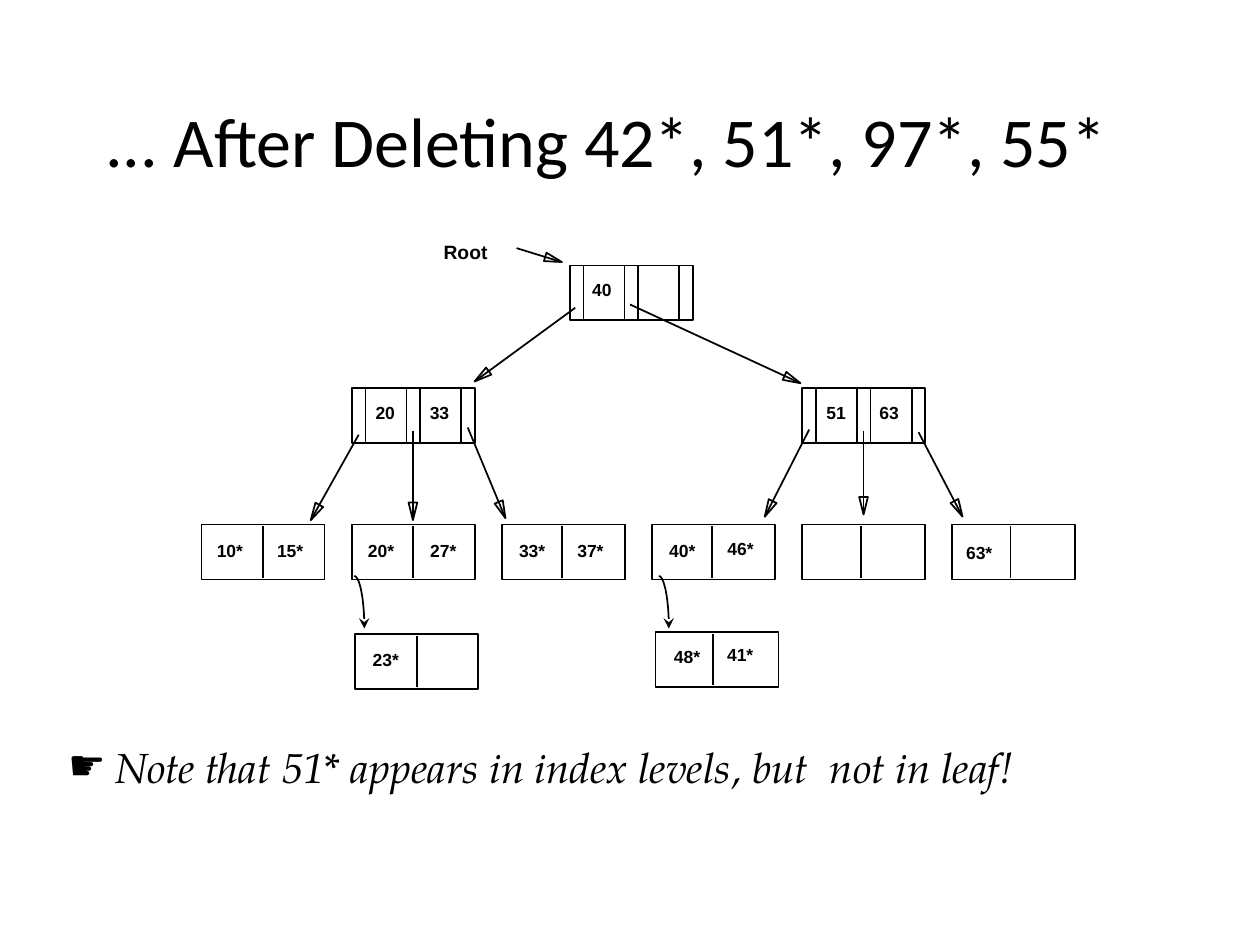
import math

from lxml import etree
from pptx import Presentation
from pptx.dml.color import RGBColor
from pptx.enum.shapes import MSO_CONNECTOR, MSO_SHAPE
from pptx.enum.text import MSO_ANCHOR, PP_ALIGN
from pptx.oxml.ns import qn
from pptx.util import Pt

STRAIGHT = MSO_CONNECTOR.STRAIGHT
RECTANGLE = MSO_SHAPE.RECTANGLE
TOP, MIDDLE = MSO_ANCHOR.TOP, MSO_ANCHOR.MIDDLE
LEFT, CENTER = PP_ALIGN.LEFT, PP_ALIGN.CENTER

COLORS = {"ink": "000000"}
INK = RGBColor.from_string(COLORS["ink"])
NODE_WIDTH, NODE_HEIGHT = 70.3, 31.4
LEAF_LEFT, LEAF_PITCH, LEAF_TOP = 115.2, 85.8, 299.8
LEAF_DIVIDER_LEFT, LEAF_DIVIDER_PITCH = 150.5, 85.4
INDEX_DIVIDERS = (7.8, 31.3, 39.1, 62.6)

# Each key is (text, offset from node left, offset from node top).
LEAVES = [
    [("10*", 1.6, 5.5), ("15*", 36, 5.5)],
    [("20*", 2.2, 5.5), ("27*", 37.7, 5.5)],
    [("33*", 2.7, 5.5), ("37*", 36, 5.5)],
    [("40*", 2.7, 5.5), ("46*", 36, 4)],
    [],
    [("63*", 0.8, 6.2)],
]
INDEX_NODES = [
    (325.6, 151.7, [("40", 5.7, 4.2)]),
    (201, 221.9, [("20", 6.5, 4.2), ("33", 37.5, 4.2)]),
    (458.4, 221.9, [("51", 6.7, 4.2), ("63", 37, 4.2)]),
]
OVERFLOW_LEAVES = [
    (202.8, 362.3, 35.3, [("23*", 3.1, 4.9)]),
    (374.6, 361.2, 33, [("48*", 3.4, 4.6), ("41*", 33.8, 3.3)]),
]
POINTERS = [
    (295.2, 141.8, 321.1, 149.8),
    (328.7, 175.9, 271.2, 218),
    (360, 174, 457.4, 219),
    (205, 248.4, 177.6, 297.2),
    (236, 246.3, 236, 297.2),
    (267.3, 244.3, 288.8, 296.1),
    (462.4, 245.5, 437, 295.3),
    (493.5, 246.1, 493.5, 294),
    (524.9, 247, 550, 295.2),
]
OVERFLOW_LINKS = [(202.4, 329.2), (376.4, 329.2)]


def add_text(slide, text, left, top, width, height, size=10, font="Arial",
             bold=False, italic=False, align=LEFT, anchor=TOP, wrap=False, bullet=None):
    frame = slide.shapes.add_textbox(Pt(left), Pt(top), Pt(width), Pt(height)).text_frame
    frame.word_wrap = wrap
    frame.vertical_anchor = anchor
    paragraph = frame.paragraphs[0]
    paragraph.alignment = align
    if bullet:
        properties = paragraph._p.get_or_add_pPr()
        properties.set("marL", str(Pt(27)))
        properties.set("indent", str(-Pt(27)))
        etree.SubElement(properties, qn("a:buFont")).set("typeface", "Arial")
        etree.SubElement(properties, qn("a:buChar")).set("char", bullet)
    run = paragraph.add_run()
    run.text = text
    run.font.size, run.font.name = Pt(size), font
    run.font.bold, run.font.italic = bold, italic
    run.font.color.rgb = INK


def style_outline(shape):
    shape.shadow.inherit = False
    shape.fill.background()
    shape.line.color.rgb = INK
    shape.line.width = Pt(1)


def add_line(slide, x1, y1, x2, y2):
    line = slide.shapes.add_connector(STRAIGHT, Pt(x1), Pt(y1), Pt(x2), Pt(y2))
    line.line.color.rgb = INK
    line.line.width = Pt(1)
    etree.SubElement(line._element.spPr, qn("a:effectLst"))


def add_outline(slide, points, close):
    (x, y), *rest = [(Pt(px), Pt(py)) for px, py in points]
    builder = slide.shapes.build_freeform(x, y)
    builder.add_line_segments(rest, close=close)
    outline = builder.convert_to_shape()
    style_outline(outline)
    return outline


def add_node(slide, left, top, dividers, divider_inset, keys):
    """Draw a node's frame, its dividers (offsets from the left) and its keys."""
    frame = slide.shapes.add_shape(RECTANGLE, Pt(left), Pt(top), Pt(NODE_WIDTH), Pt(NODE_HEIGHT))
    style_outline(frame)
    for offset in dividers:
        add_line(slide, left + offset, top + divider_inset,
                 left + offset, top + NODE_HEIGHT - divider_inset)
    for key, dx, dy in keys:
        width = 29.8 if key.endswith("*") else 26
        add_text(slide, key, left + dx, top + dy, width, 18.7, bold=True)


def add_pointer(slide, x1, y1, x2, y2, head_length=10, head_half_width=2.5):
    """Draw a line that ends in a hollow triangle at (x2, y2)."""
    add_line(slide, x1, y1, x2, y2)
    length = math.hypot(x2 - x1, y2 - y1)
    ux, uy = (x2 - x1) / length, (y2 - y1) / length
    base_x, base_y = x2 - head_length * ux, y2 - head_length * uy
    wx, wy = -uy * head_half_width, ux * head_half_width
    add_outline(slide, [(base_x + wx, base_y + wy), (x2, y2), (base_x - wx, base_y - wy)], True)


def add_overflow_link(slide, left, top, width=5.8, height=30, steps=16):
    """Draw a quarter ellipse from a leaf down to its overflow leaf."""
    angles = [math.pi / 2 * step / steps for step in range(steps + 1)]
    curve = [(left + width * math.sin(a), top + height * (1 - math.cos(a))) for a in angles]
    link = add_outline(slide, curve, False)
    etree.SubElement(link.line._get_or_add_ln(), qn("a:tailEnd")).set("type", "stealth")


def add_tree(slide):
    for i, keys in enumerate(LEAVES):
        left = LEAF_LEFT + i * LEAF_PITCH
        divider = LEAF_DIVIDER_LEFT + i * LEAF_DIVIDER_PITCH - left
        add_node(slide, left, LEAF_TOP, [divider], 1, keys)
    for left, top, keys in INDEX_NODES:
        add_node(slide, left, top, INDEX_DIVIDERS, 0, keys)
    for left, top, divider, keys in OVERFLOW_LEAVES:
        add_node(slide, left, top, [divider], 1.2, keys)
    for pointer in POINTERS:
        add_pointer(slide, *pointer)
    for link in OVERFLOW_LINKS:
        add_overflow_link(slide, *link)
    add_text(slide, "Root", 246.4, 133.9, 40, 20.2, size=11, bold=True)


def main():
    deck = Presentation()
    deck.slide_width, deck.slide_height = Pt(720), Pt(540)
    slide = deck.slides.add_slide(deck.slide_layouts[6])
    add_text(slide, "... After Deleting 42*, 51*, 97*, 55*", 40.3, 36, 612, 87.1,
             size=40, font="Calibri", align=CENTER, anchor=MIDDLE, wrap=True)
    add_tree(slide)
    add_text(slide, "Note that 51* appears in index levels, but  not in leaf!",
             31.9, 420, 629.3, 36, size=24, font="TeX Gyre Pagella",
             italic=True, wrap=True, bullet="☛")
    deck.save("out.pptx")


if __name__ == "__main__":
    main()
